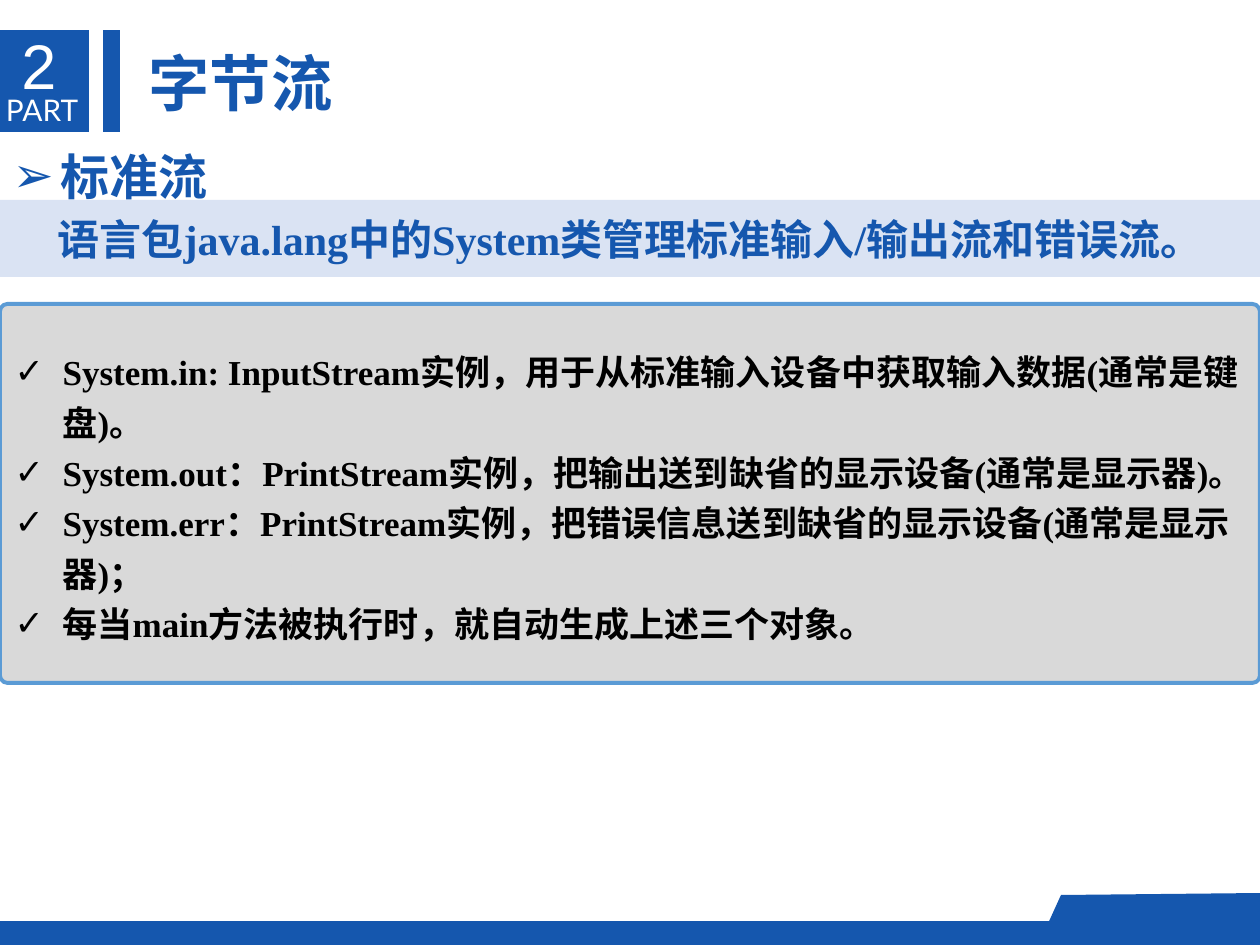
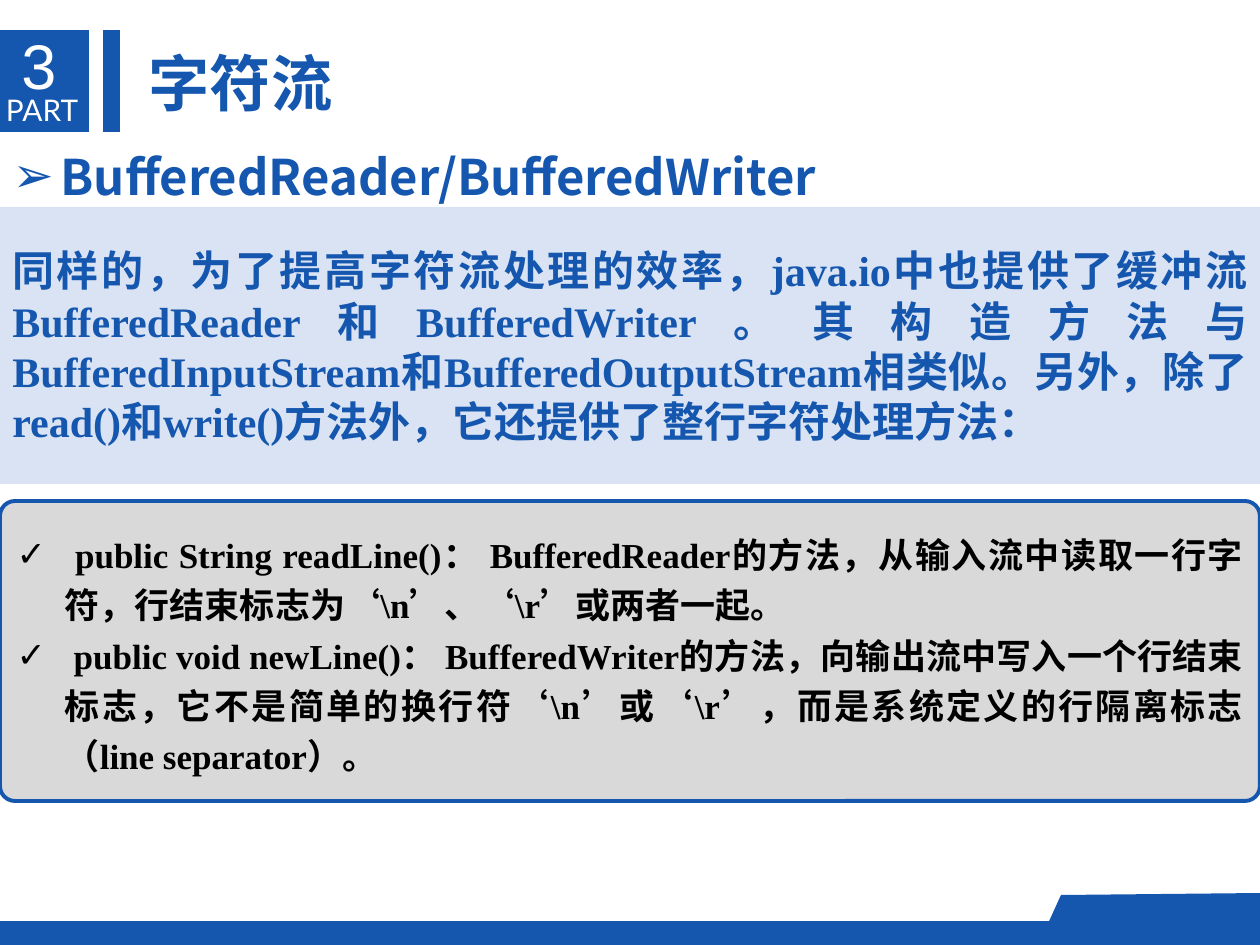
"""Builds two lecture slides on Java standard streams and character streams."""
from lxml import etree
from pptx import Presentation
from pptx import util as u
from pptx.dml.color import RGBColor
from pptx.enum import lang, shapes, text
from pptx.oxml import ns

BLUE = RGBColor(0x15, 0x57, 0xAE)
SKY = RGBColor(0x5B, 0x9B, 0xD5)
PALE = RGBColor(0xDA, 0xE3, 0xF3)
GREY = RGBColor(0xD9, 0xD9, 0xD9)
BLACK = RGBColor(0, 0, 0)
WHITE = RGBColor(0xFF, 0xFF, 0xFF)

HAN, SERIF, SANS, LABEL = "Noto Sans CJK SC", "Times New Roman", "Arial", "Lato"
PX = 914400 / 126
WIDTH, HEIGHT = 1260, 945
INDENT = 48

PART_BLOCK = (0, 30, 89, 102)
PART_STRIPE = (103, 30, 17, 102)
FOOTER = (0, 921, WIDTH, 24)
FOOTER_TAB = [(1260, 939), (1260, 893), (1061, 895), (1041, 939)]
PART_LABEL = (6, 92, 76, 37)
PART_NUMBER = (9, 20, 67, 89)
TITLE = (136, 39, 210, 87)
TOPIC = (0, 128, WIDTH, 140)

SECTIONS = [
    {
        "part": "2",
        "title": "字节流",
        "topic": "标准流",
        "summary": "语言包java.lang中的System类管理标准输入/输出流和错误流。",
        "summary_span": (200, 77),
        "summary_align": text.PP_ALIGN.CENTER,
        "points": [
            "System.in: InputStream实例，用于从标准输入设备中获取输入数据(通常是键盘)。",
            "System.out：PrintStream实例，把输出送到缺省的显示设备(通常是显示器)。",
            "System.err：PrintStream实例，把错误信息送到缺省的显示设备(通常是显示器)；",
            "每当main方法被执行时，就自动生成上述三个对象。",
        ],
        "points_span": (304, 379),
        "points_align": text.PP_ALIGN.LEFT,
        "corner": 0.02,
        "border": SKY,
    },
    {
        "part": "3",
        "title": "字符流",
        "topic": "BufferedReader/BufferedWriter",
        "summary": "同样的，为了提高字符流处理的效率，java.io中也提供了缓冲流"
                   "BufferedReader和BufferedWriter。其构造方法与BufferedInputStream和"
                   "BufferedOutputStream相类似。另外，除了read()和write()方法外，"
                   "它还提供了整行字符处理方法：",
        "summary_span": (207, 277),
        "summary_align": text.PP_ALIGN.JUSTIFY,
        "points": [
            " public String readLine()： BufferedReader的方法，从输入流中读取一行字符，"
            "行结束标志为‘\\n’、‘\\r’或两者一起。",
            " public void newLine()： BufferedWriter的方法，向输出流中写入一个行结束标志，"
            "它不是简单的换行符‘\\n’或‘\\r’，而是系统定义的行隔离标志（line separator）。",
        ],
        "points_span": (501, 300),
        "points_align": text.PP_ALIGN.JUSTIFY,
        "corner": 0.05,
        "border": BLUE,
    },
]


def emu(box):
    return [u.Emu(round(length * PX)) for length in box]


def paint(shape, fill, border=None):
    shape.shadow.inherit = False
    shape.fill.solid()
    shape.fill.fore_color.rgb = fill
    if border is None:
        shape.line.fill.background()
    else:
        shape.line.color.rgb = border
        shape.line.width = u.Pt(2.25)
    return shape


def add_block(slide, preset, box, fill, border=None):
    return paint(slide.shapes.add_shape(preset, *emu(box)), fill, border)


def write(shape, lines, size, font, color, bold=False, align=text.PP_ALIGN.LEFT,
          anchor=text.MSO_ANCHOR.TOP, wrap=True, bullet=None):
    frame = shape.text_frame
    frame.text = "\n".join(lines)
    frame.word_wrap = wrap
    frame.auto_size = text.MSO_AUTO_SIZE.NONE
    frame.vertical_anchor = anchor
    for paragraph in frame.paragraphs:
        paragraph.alignment = align
        paragraph.space_before = u.Pt(0)
        if bullet:
            add_bullet(paragraph, bullet)
        for run in paragraph.runs:
            run.font.size, run.font.name, run.font.bold = u.Pt(size), font, bold
            run.font.color.rgb = color
            run.font.language_id = lang.MSO_LANGUAGE_ID.SIMPLIFIED_CHINESE
            latin = run.font._element.find(ns.qn("a:latin"))
            east_asian = etree.Element(ns.qn("a:ea"), typeface=HAN)
            latin.addnext(east_asian)


def add_bullet(paragraph, mark):
    paragraph.line_spacing = 1.2
    properties = paragraph._p.get_or_add_pPr()
    hang = emu([INDENT])[0]
    properties.set("marL", str(hang))
    properties.set("indent", str(-hang))
    etree.SubElement(properties, ns.qn("a:buFont"), typeface=SANS)
    etree.SubElement(properties, ns.qn("a:buChar"), char=mark)


def place(placeholder, box):
    placeholder.left, placeholder.top, placeholder.width, placeholder.height = emu(box)
    return placeholder


def add_label(slide, box, words, size, font, margin=None):
    label = slide.shapes.add_textbox(*emu(box))
    write(label, [words], size, font, WHITE, wrap=False)
    if margin is not None:
        frame = label.text_frame
        frame.margin_left = frame.margin_right = margin
        frame.margin_top = frame.margin_bottom = margin


def decorate_layout(layout, slide):
    bands = [add_block(slide, shapes.MSO_SHAPE.FLOWCHART_PROCESS, box, BLUE)
             for box in (PART_BLOCK, PART_STRIPE, FOOTER)]
    outline = slide.shapes.build_freeform(*FOOTER_TAB[0], scale=PX)
    outline.add_line_segments(FOOTER_TAB[1:], close=True)
    bands.append(paint(outline.convert_to_shape(), BLUE))
    for band in bands:
        layout.shapes.element.append(band.element)


def fill_slide(slide, section):
    write(place(slide.shapes.title, TITLE), [section["title"]], 35, HAN, BLUE,
          bold=True, wrap=False)
    write(place(slide.placeholders[1], TOPIC), [section["topic"]], 28, HAN, BLUE,
          bold=True, bullet="➢")
    add_label(slide, PART_LABEL, "PART", 17, LABEL, margin=0)
    add_label(slide, PART_NUMBER, section["part"], 36, SANS)

    top, height = section["summary_span"]
    summary = add_block(slide, shapes.MSO_SHAPE.RECTANGLE, (0, top, WIDTH, height), PALE)
    write(summary, [section["summary"]], 24, SERIF, BLUE, bold=True,
          align=section["summary_align"], anchor=text.MSO_ANCHOR.MIDDLE)

    top, height = section["points_span"]
    points = add_block(slide, shapes.MSO_SHAPE.ROUNDED_RECTANGLE,
                       (0, top, WIDTH, height), GREY, section["border"])
    points.adjustments[0] = section["corner"]
    write(points, section["points"], 20, SERIF, BLACK, bold=True,
          align=section["points_align"], anchor=text.MSO_ANCHOR.MIDDLE, bullet="✓")


def main():
    deck = Presentation()
    deck.slide_width, deck.slide_height = emu((WIDTH, HEIGHT))
    layout = deck.slide_layouts[1]
    slides = [deck.slides.add_slide(layout) for _ in SECTIONS]
    decorate_layout(layout, slides[0])
    for slide, section in zip(slides, SECTIONS):
        fill_slide(slide, section)
    deck.save("out.pptx")


if __name__ == "__main__":
    main()
